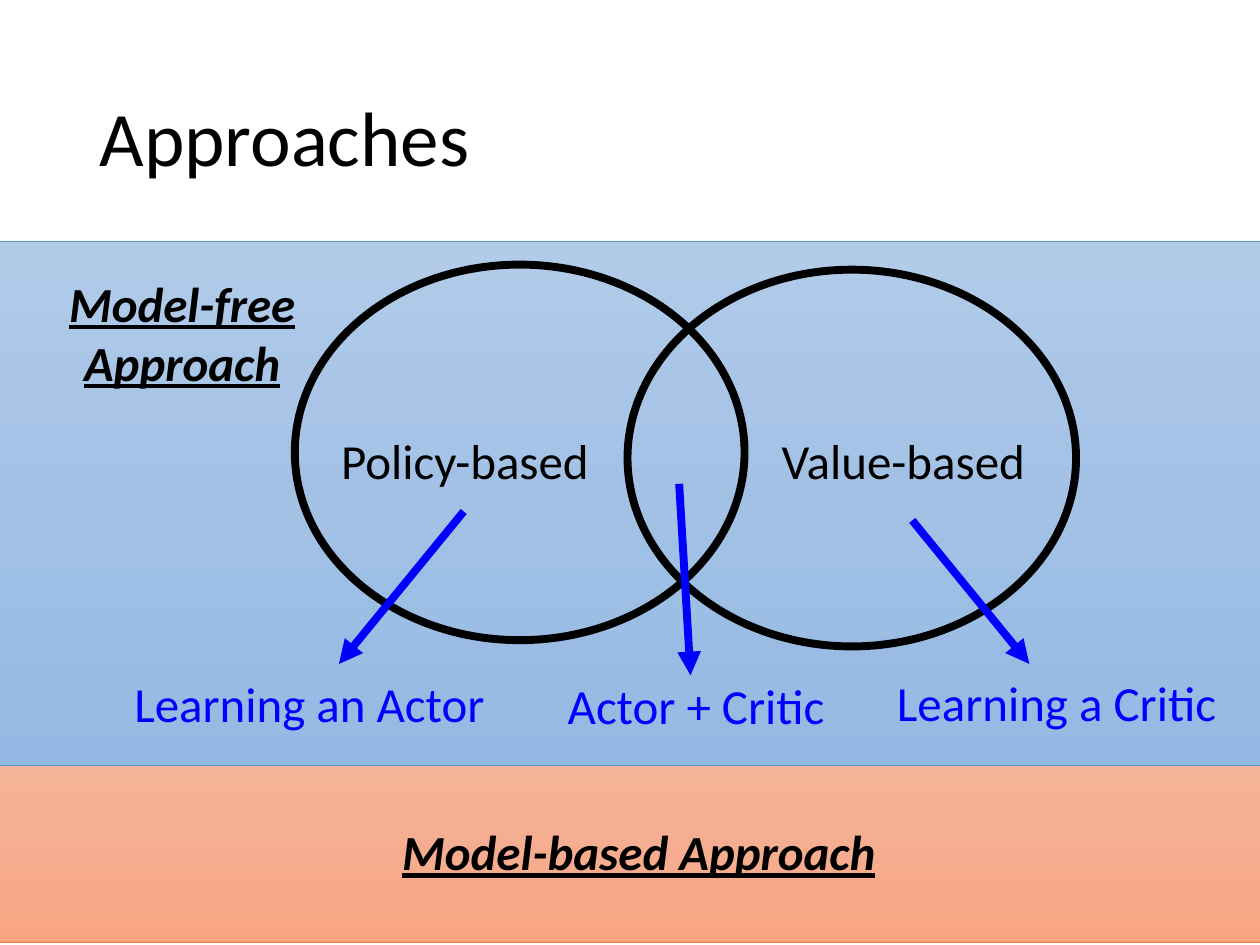
import copy
import dataclasses

import lxml.etree
import pptx
import pptx.dml.color
import pptx.enum.shapes
import pptx.enum.text
import pptx.oxml.ns
import pptx.util

Pt = pptx.util.Pt
RGB = pptx.dml.color.RGBColor.from_string
SHAPE = pptx.enum.shapes.MSO_SHAPE
qn = pptx.oxml.ns.qn


@dataclasses.dataclass(frozen=True)
class Theme:
    font: str = "Calibri"
    title_size: float = 44
    label_size: float = 28
    stroke: float = 4.5
    band_stroke: float = 0.5
    ink: str = "000000"
    accent: str = "0000FF"
    orange: str = "ED7D31"
    orange_stops: tuple[str, ...] = ("F7BDA5", "F5B196", "F8A582")
    blue: str = "5B9BD5"
    blue_stops: tuple[str, ...] = ("B1CBE9", "A3C1E5", "93B9E4")


THEME = Theme()


@dataclasses.dataclass(frozen=True)
class Box:
    left: float
    top: float
    width: float
    height: float

    def lengths(self) -> list[int]:
        return [Pt(v) for v in (self.left, self.top, self.width, self.height)]


@dataclasses.dataclass(frozen=True)
class Band:
    box: Box
    stops: tuple[str, ...]
    line: str


@dataclasses.dataclass(frozen=True)
class Label:
    text: str
    box: Box
    color: str = THEME.ink
    heading: bool = False


@dataclasses.dataclass(frozen=True)
class Arrow:
    x1: float
    y1: float
    x2: float
    y2: float


BANDS = [
    Band(Box(-13, 380.9, 776.2, 157.7), THEME.orange_stops, THEME.orange),
    Band(Box(-13, 138.2, 776.2, 299.5), THEME.blue_stops, THEME.blue),
]
CIRCLES = [Box(168.5, 151.2, 257, 214.6), Box(358.6, 154.1, 256.3, 215.3)]
LABELS = [
    Label("Policy-based", Box(168.5, 242.6, 194.4, 41)),
    Label("Value-based", Box(419, 242.6, 194.4, 41)),
    Label("Learning an Actor", Box(61.9, 381.6, 229.7, 41), THEME.accent),
    Label("Learning a Critic", Box(482.4, 380.9, 242.6, 41), THEME.accent),
    Label("Actor + Critic", Box(296.6, 382.3, 202.3, 41), THEME.accent),
    Label("Model-based Approach", Box(169.2, 465.8, 391.7, 41), heading=True),
    Label("Model-free Approach", Box(5.8, 152.6, 196.6, 74.9), heading=True),
]
ARROWS = [
    Arrow(521.3, 297.4, 588.2, 379.4),
    Arrow(265, 292.3, 193.7, 379.4),
    Arrow(388.1, 276.5, 394.6, 385.9),
]


def set_line(line, color: str, width: float) -> None:
    line.color.rgb = RGB(color)
    line.width = Pt(width)


def style_run(r, size: float, color: str) -> None:
    r.font.name = THEME.font
    r.font.size = Pt(size)
    r.font.color.rgb = RGB(color)


def add_title(s, text: str, box: Box) -> None:
    sp = s.shapes.title
    sp.left, sp.top, sp.width, sp.height = box.lengths()
    tf = sp.text_frame
    tf.text = text
    tf.vertical_anchor = pptx.enum.text.MSO_ANCHOR.MIDDLE
    p = tf.paragraphs[0]
    p.alignment = pptx.enum.text.PP_ALIGN.LEFT
    p.line_spacing = 0.9
    style_run(p.runs[0], THEME.title_size, THEME.ink)


def add_band(s, band: Band) -> None:
    sp = s.shapes.add_shape(SHAPE.RECTANGLE, *band.box.lengths())
    sp.shadow.inherit = False
    sp.fill.gradient()
    sp.fill.gradient_angle = 270
    first = next(sp._element.spPr.iter(qn("a:gs")))
    first.addnext(copy.deepcopy(first))
    for i, (stop, color) in enumerate(zip(sp.fill.gradient_stops, band.stops)):
        stop.position = i / 2
        stop.color.rgb = RGB(color)
    set_line(sp.line, band.line, THEME.band_stroke)


def add_circle(s, box: Box) -> None:
    sp = s.shapes.add_shape(SHAPE.OVAL, *box.lengths())
    sp.shadow.inherit = False
    sp.fill.background()
    set_line(sp.line, THEME.ink, THEME.stroke)


def add_label(s, label: Label) -> None:
    tf = s.shapes.add_textbox(*label.box.lengths()).text_frame
    tf.word_wrap = True
    tf.auto_size = pptx.enum.text.MSO_AUTO_SIZE.SHAPE_TO_FIT_TEXT
    tf.text = label.text
    p = tf.paragraphs[0]
    p.alignment = pptx.enum.text.PP_ALIGN.CENTER
    r = p.runs[0]
    style_run(r, THEME.label_size, label.color)
    if label.heading:
        r.font.bold = r.font.italic = r.font.underline = True


def add_arrow(s, arrow: Arrow) -> None:
    ends = [Pt(v) for v in (arrow.x1, arrow.y1, arrow.x2, arrow.y2)]
    cxn = s.shapes.add_connector(pptx.enum.shapes.MSO_CONNECTOR.STRAIGHT, *ends)
    set_line(cxn.line, THEME.accent, THEME.stroke)
    spPr = cxn._element.spPr
    lxml.etree.SubElement(spPr.find(qn("a:ln")), qn("a:tailEnd"), type="triangle")
    lxml.etree.SubElement(spPr, qn("a:effectLst"))


def main() -> None:
    prs = pptx.Presentation()
    prs.slide_width, prs.slide_height = Pt(720), Pt(540)
    s = prs.slides.add_slide(prs.slide_layouts.get_by_name("Title Only"))
    add_title(s, "Approaches", Box(49.7, 28.8, 620.6, 104.4))
    for band in BANDS:
        add_band(s, band)
    for circle in CIRCLES:
        add_circle(s, circle)
    for label in LABELS:
        add_label(s, label)
    for arrow in ARROWS:
        add_arrow(s, arrow)
    prs.save("out.pptx")


if __name__ == "__main__":
    main()
